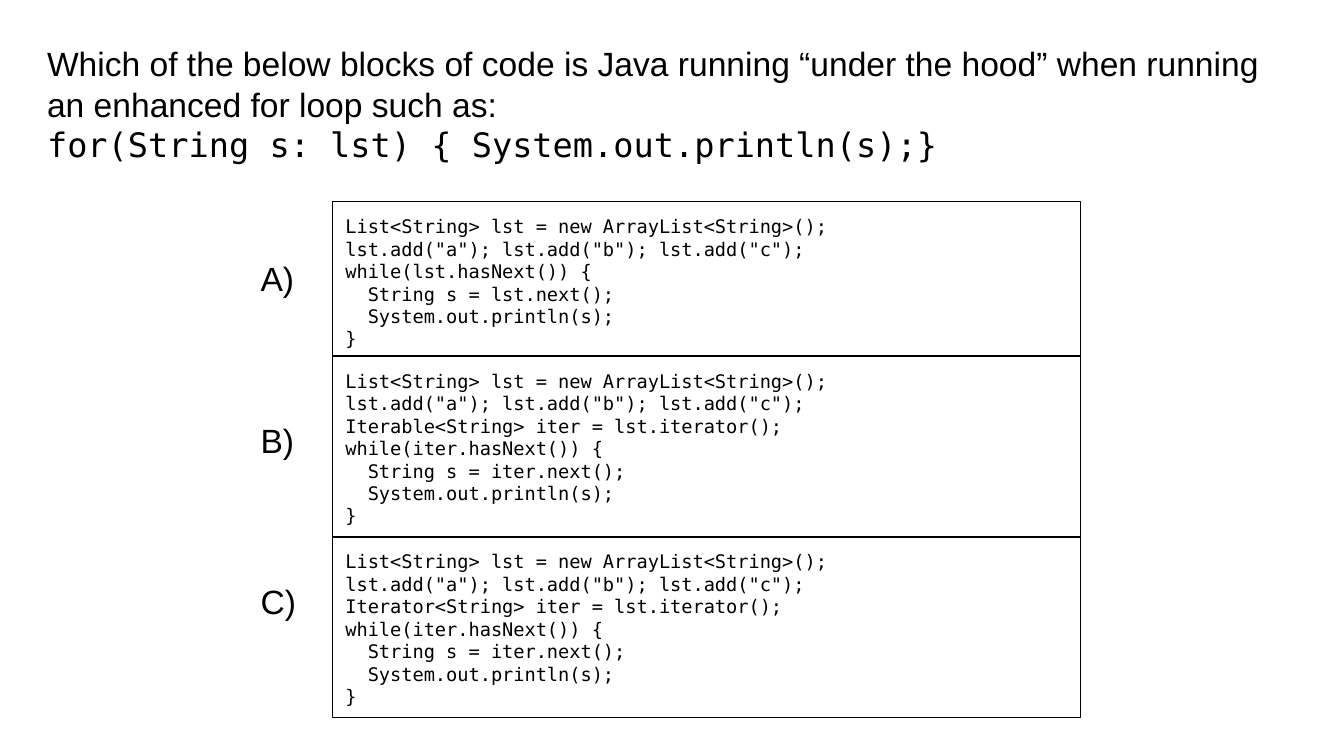
"""Build a quiz slide asking which code block an enhanced for loop runs."""
from pptx import Presentation
from pptx.dml.color import RGBColor
from pptx.enum.shapes import MSO_SHAPE
from pptx.enum.text import MSO_ANCHOR, MSO_AUTO_SIZE, PP_ALIGN
from pptx.util import Pt

RECTANGLE = MSO_SHAPE.RECTANGLE
TOP = MSO_ANCHOR.TOP
NO_AUTOFIT = MSO_AUTO_SIZE.NONE
LEFT = PP_ALIGN.LEFT

COLOURS = {"ink": "000000"}
PROSE, CODE = "Arial", "DejaVu Sans Mono"
INSET = 7.2
TITLE_ONLY = 5

QUESTION = (
    "Which of the below blocks of code is Java running “under the hood” "
    "when running an enhanced for loop such as:"
)
LOOP = "for(String s: lst) { System.out.println(s);}"
SETUP = [
    "List<String> lst = new ArrayList<String>();",
    'lst.add("a"); lst.add("b"); lst.add("c");',
]


def ink():
    return RGBColor.from_string(COLOURS["ink"])


def loop_code(source, declaration=()):
    return [
        *SETUP,
        *declaration,
        f"while({source}.hasNext()) {{",
        f"  String s = {source}.next();",
        "  System.out.println(s);",
        "}",
    ]


def write_lines(frame, lines, size, gap=0):
    frame.word_wrap = True
    frame.auto_size = NO_AUTOFIT
    frame.vertical_anchor = TOP
    frame.margin_left = frame.margin_right = Pt(INSET)
    frame.margin_top = frame.margin_bottom = Pt(INSET)
    for index, (text, font_name) in enumerate(lines):
        line = frame.paragraphs[0] if index == 0 else frame.add_paragraph()
        line.add_run().text = text
        line.alignment = LEFT
        line.space_before = Pt(gap if index else 0)
        line.font.name = font_name
        line.font.size = Pt(size)
        line.font.color.rgb = ink()


def place_question(slide):
    question = slide.shapes.title
    question.left, question.top = Pt(18), Pt(16)
    question.width, question.height = Pt(676), Pt(67)
    write_lines(question.text_frame, [(QUESTION, PROSE), (LOOP, CODE)], 18)


def add_code_box(slide, top, height, code):
    box = slide.shapes.add_shape(RECTANGLE, Pt(178), Pt(top), Pt(401), Pt(height))
    box.shadow.inherit = False
    box.fill.background()
    box.line.color.rgb = ink()
    box.line.width = Pt(0.75)
    write_lines(box.text_frame, [(text, CODE) for text in code], 10)


def add_option_letters(slide, letters):
    column = slide.shapes.add_textbox(Pt(132.5), Pt(131), Pt(65.5), Pt(236))
    lines = [(f"{letter})", PROSE) for letter in letters]
    write_lines(column.text_frame, lines, 18, gap=65)


def main():
    deck = Presentation()
    deck.slide_width, deck.slide_height = Pt(720), Pt(405)
    slide = deck.slides.add_slide(deck.slide_layouts[TITLE_ONLY])
    place_question(slide)

    options = {
        "A": (82.8, loop_code("lst")),
        "B": (96.8, loop_code("iter", ["Iterable<String> iter = lst.iterator();"])),
        "C": (96.8, loop_code("iter", ["Iterator<String> iter = lst.iterator();"])),
    }
    top = 108
    for height, code in options.values():
        add_code_box(slide, top, height, code)
        top += height
    add_option_letters(slide, options)
    deck.save("out.pptx")


if __name__ == "__main__":
    main()
